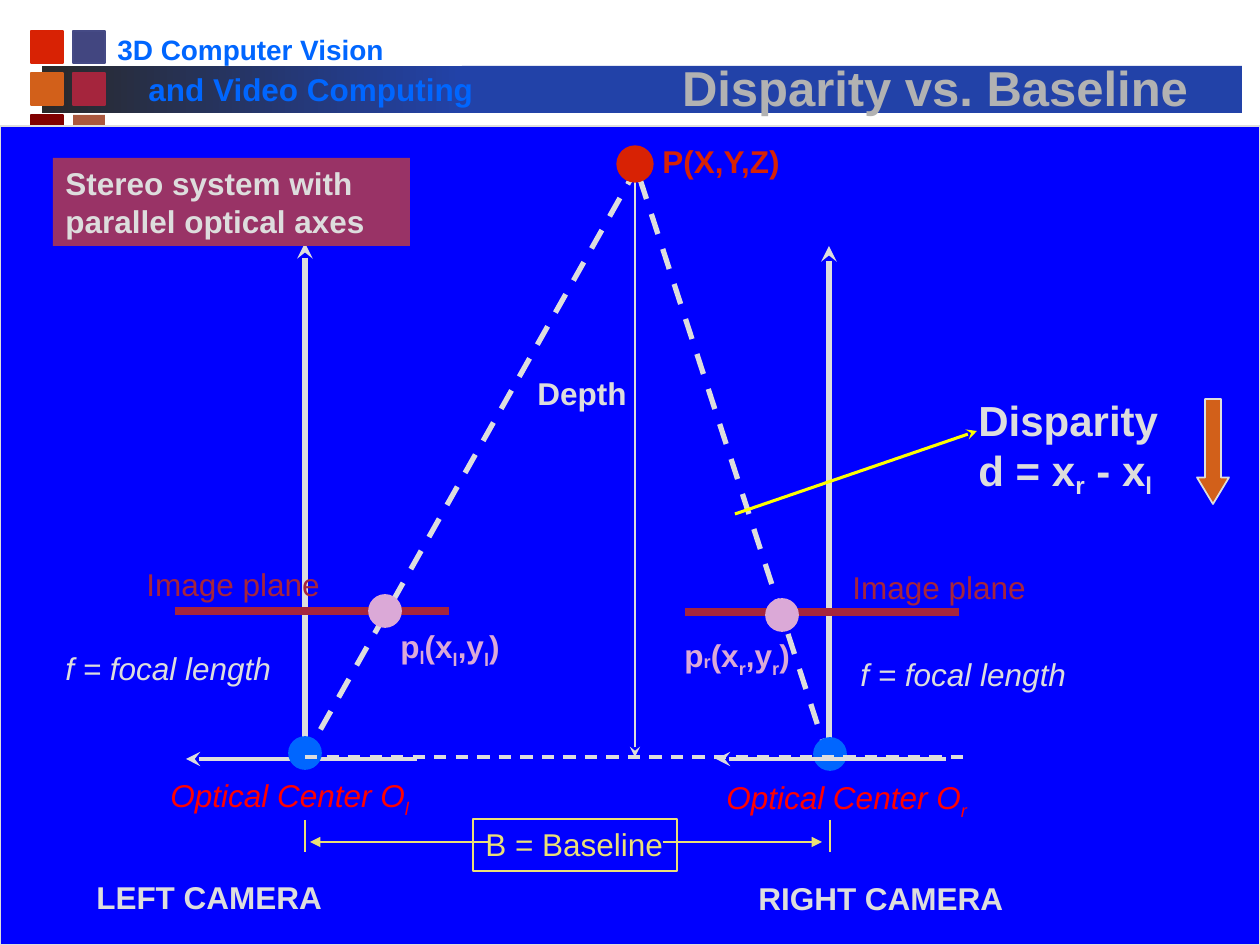
import lxml.etree
import pptx
import pptx.dml.color
import pptx.enum.dml
import pptx.enum.shapes
import pptx.enum.text
import pptx.oxml
import pptx.oxml.ns
import pptx.util

PX = 914400 / 126
RGB = pptx.dml.color.RGBColor.from_string
SHAPES = pptx.enum.shapes.MSO_SHAPE
THEME = {
    "font": "Arial",
    "small": 16, "body": 18, "large": 24, "title": 28,
    "pale": "DDDDDD", "silver": "B2B2B2", "panel": "0000FF", "sky": "0066FF",
    "band": "2242A8", "dark": "292929", "red": "D82204", "bright": "FF0000",
    "crimson": "A5253D", "orange": "D2601A", "pink": "DBA9D7", "sand": "EBE077",
    "yellow": "FFFF00", "plum": "993366", "indigo": "424680", "indigo_edge": "454A85",
    "maroon": "800000", "rust": "AA583E",
}


def write_text(shape, text, color, size="body", style="", wrap=False, drops=()):
    frame = shape.text_frame
    frame.word_wrap = wrap
    frame.auto_size = pptx.enum.text.MSO_AUTO_SIZE.SHAPE_TO_FIT_TEXT
    drops = iter(drops)
    font_format = {"name": THEME["font"], "size": pptx.util.Pt(THEME[size]),
                   "bold": style == "bold", "italic": style == "italic"}
    for line_number, line in enumerate(text.split("\n")):
        paragraph = frame.add_paragraph() if line_number else frame.paragraphs[0]
        for part_number, part in enumerate(line.split("|")):
            if not part:
                continue
            run = paragraph.add_run()
            run.text = part
            for name, value in font_format.items():
                setattr(run.font, name, value)
            run.font.color.rgb = RGB(THEME[color])
            if part_number % 2:
                run.font._element.set("baseline", str(next(drops) * 1000))


def add_line(x1, y1, x2, y2, color, width, dashed=False, head=None, tail=None):
    connector = slide.shapes.add_connector(
        pptx.enum.shapes.MSO_CONNECTOR.STRAIGHT, *[round(v * PX) for v in (x1, y1, x2, y2)])
    connector.line.color.rgb = RGB(THEME[color])
    connector.line.width = pptx.util.Pt(width)
    if dashed:
        connector.line.dash_style = pptx.enum.dml.MSO_LINE.DASH
    line_element = connector.line._get_or_add_ln()
    for tag, kind in (("a:headEnd", head), ("a:tailEnd", tail)):
        if kind:
            lxml.etree.SubElement(line_element, pptx.oxml.ns.qn(tag)).set("type", kind)
    lxml.etree.SubElement(connector._element.spPr, pptx.oxml.ns.qn("a:effectLst"))


presentation = pptx.Presentation()
presentation.slide_width = round(1260 * PX)
presentation.slide_height = round(945 * PX)
slide = presentation.slides.add_slide(presentation.slide_layouts[5])

square_colors = [("red", "red"), ("indigo", "indigo_edge"), ("orange", "orange"),
                 ("crimson", "crimson"), ("maroon", "maroon"), ("rust", None)]
header_shapes = [(SHAPES.RECTANGLE, 42, 66, 420, 47, "band", None, 0),
                 (SHAPES.RECTANGLE, 462, 66, 780, 47, "band", None, 0)]
for number, (fill, edge) in enumerate(square_colors):
    row, column = divmod(number, 2)
    header_shapes.append((SHAPES.RECTANGLE, 31 + 42 * column, 31 + 42 * row, 32, 32, fill, edge, 1))
panel = [(SHAPES.RECTANGLE, 0, 126, 1260, 819, "panel", "pale", 1)]
points = [(SHAPES.OVAL, x, y, 32, 32, color, color, width) for x, y, color, width in [
    (619, 148, "red", 3), (369, 595, "pink", 1), (289, 737, "sky", 1),
    (766, 599, "pink", 1), (814, 738, "sky", 1)]]
down_arrow = [(SHAPES.DOWN_ARROW, 1197, 399, 32, 105, "orange", "pale", 1)]

back_lines = [
    (417, 759, 186, 759, "pale", 2.75, False, None, "stealth"),
    (638, 166, 305, 757, "pale", 3, True),
    (305, 243, 305, 757, "pale", 3, False, "stealth"),
    (449, 611, 175, 611, "crimson", 4.5),
    (635, 757, 635, 170, "pale", 1, False, "stealth", "stealth"),
    (640, 179, 829, 760, "pale", 3, True),
    (829, 246, 829, 760, "pale", 3, False, "stealth"),
    (685, 612, 959, 612, "crimson", 4.5),
]
front_lines = [
    (305, 757, 966, 757, "pale", 1.75, True),
    (946, 759, 716, 759, "pale", 2.75, False, None, "stealth"),
    (305, 820, 305, 852, "sand", 1),
    (830, 820, 830, 852, "sand", 1),
    (663, 842, 822, 842, "sand", 1, False, None, "triangle"),
    (488, 842, 310, 842, "sand", 1, False, None, "triangle"),
    (735, 514, 977, 431, "yellow", 1.75, False, None, "stealth"),
]

for shapes, lines in ((header_shapes + panel, back_lines), (points + down_arrow, front_lines)):
    for kind, left, top, width, height, fill, edge, weight in shapes:
        shape = slide.shapes.add_shape(kind, *[round(v * PX) for v in (left, top, width, height)])
        shape.shadow.inherit = False
        if (left, top) == (42, 66):
            shape.fill.gradient()
            shape.fill.gradient_angle = 0
            for stop, color in zip(shape.fill.gradient_stops, ("dark", "band")):
                stop.color.rgb = RGB(THEME[color])
        else:
            shape.fill.solid()
            shape.fill.fore_color.rgb = RGB(THEME[fill])
        if edge:
            shape.line.color.rgb = RGB(THEME[edge])
            shape.line.width = pptx.util.Pt(weight)
        else:
            shape.line.fill.background()
        if kind == SHAPES.DOWN_ARROW:
            shape.adjustments[0] = 0.5
            shape.adjustments[1] = 0.83
    for line in lines:
        add_line(*line)

title = slide.shapes.title
title_format = {"left": 620, "top": 39, "width": 630, "height": 84}
for name, value in title_format.items():
    setattr(title, name, round(value * PX))
write_text(title, "Disparity vs. Baseline", "silver", "title", "bold", True)
title.text_frame.auto_size = pptx.enum.text.MSO_AUTO_SIZE.NONE
title.text_frame.vertical_anchor = pptx.enum.text.MSO_ANCHOR.BOTTOM
title.text_frame.paragraphs[0].alignment = pptx.enum.text.PP_ALIGN.CENTER
title_run = title.text_frame.paragraphs[0].runs[0]
title_run.font._element.find(pptx.oxml.ns.qn("a:solidFill")).addnext(pptx.oxml.parse_xml(
    f'<a:effectLst {pptx.oxml.ns.nsdecls("a")}><a:outerShdw dist="35921" dir="2700000">'
    '<a:srgbClr val="000000"/></a:outerShdw></a:effectLst>'))
slide.shapes._spTree.append(title._element)

labels = [
    (105, 26, 292, 47, "3D Computer Vision", "sky", "small", "bold"),
    (136, 64, 357, 50, "and Video Computing", "sky", "body", "bold", True),
    (650, 136, 146, 50, "P(X,Y,Z)", "red", "body", "bold"),
    (388, 621, 127, 50, "p|l|(x|l|,y|l|)", "pink", "body", "bold", False, (-20, -25, -25)),
    (158, 770, 268, 50, "Optical Center O|l", "bright", "body", "italic", True, (-25,)),
    (53, 643, 231, 50, "f = focal length", "pale", "body", "italic"),
    (134, 559, 199, 50, "Image plane", "crimson"),
    (84, 872, 251, 50, "LEFT CAMERA", "pale", "body", "bold"),
    (473, 819, 204, 52, "B = Baseline", "sand"),
    (525, 368, 168, 107, "Depth", "pale", "body", "bold", True),
    (848, 649, 231, 50, "f = focal length", "pale", "body", "italic"),
    (714, 772, 267, 50, "Optical Center O|r", "bright", "body", "italic", False, (-25,)),
    (672, 630, 134, 50, "p|r|(x|r|,y|r|)", "pink", "body", "bold", False, (-2, -25, -25)),
    (840, 562, 199, 50, "Image plane", "crimson"),
    (746, 873, 271, 50, "RIGHT CAMERA", "pale", "body", "bold", True),
    (966, 388, 231, 115, "Disparity\nd = x|r| - x|l", "pale", "large", "bold", False, (-20, -20)),
    (53, 158, 357, 88, "Stereo system with parallel optical axes", "pale", "body", "bold", True),
]
for left, top, width, height, text, *text_format in labels:
    text_box = slide.shapes.add_textbox(*[round(v * PX) for v in (left, top, width, height)])
    write_text(text_box, text, *text_format)
    if text.startswith("B ="):
        text_box.line.color.rgb = RGB(THEME["sand"])
        text_box.line.width = pptx.util.Pt(1)
    if text.startswith("Stereo"):
        text_box.fill.solid()
        text_box.fill.fore_color.rgb = RGB(THEME["plum"])

presentation.save("out.pptx")
